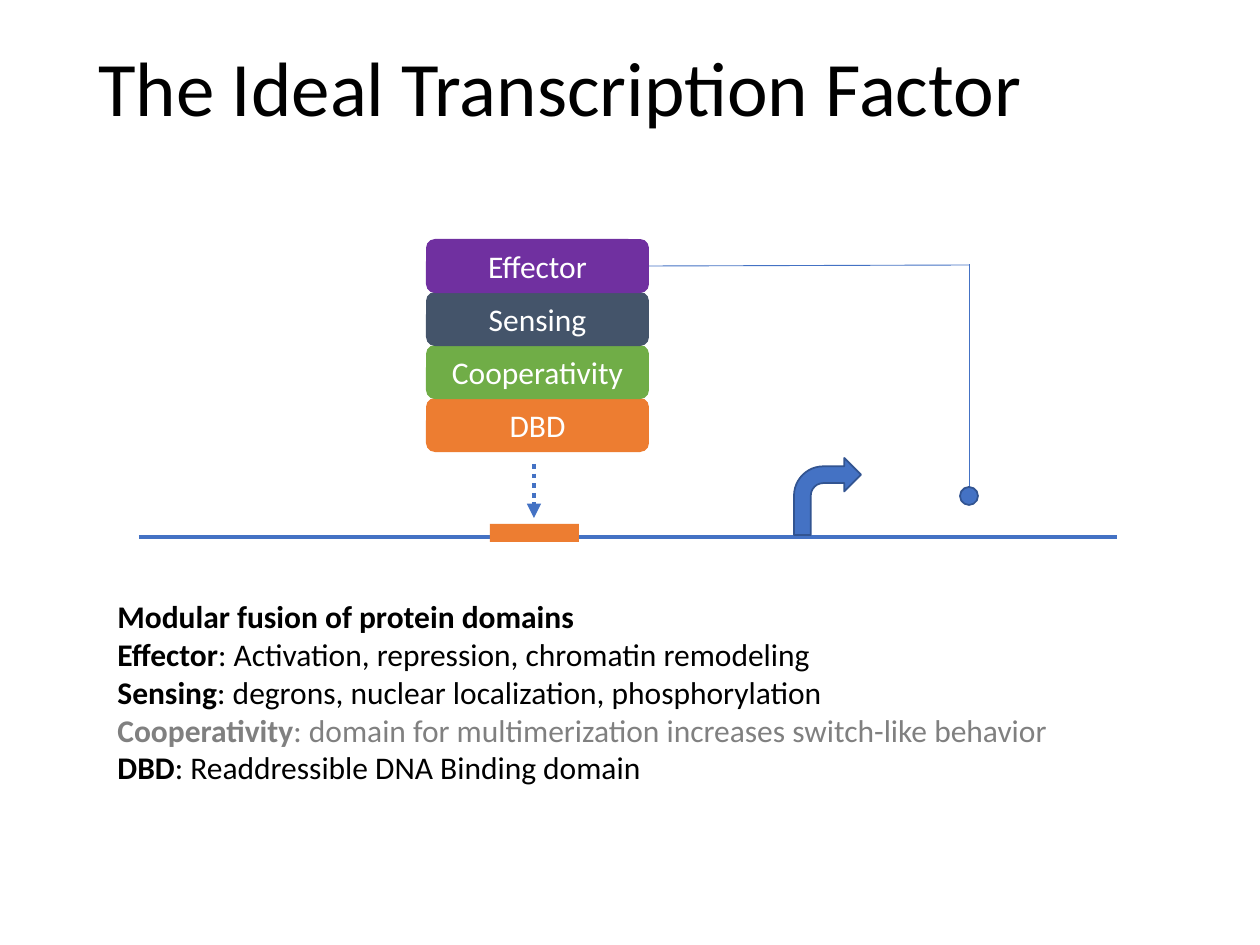
from lxml import etree
from pptx import Presentation
from pptx import util as u
from pptx.dml.color import RGBColor
from pptx.enum import dml, shapes, text
from pptx.oxml import ns

SCALE = 914400 / 126
FONT = "Calibri"
BLUE, DARK_BLUE, ORANGE = "4472C4", "325491", "ED7D31"
BLACK, GREY, WHITE = "000000", "808080", "FFFFFF"

DOMAINS = [
    ("Effector", "7030A0"),
    ("Sensing", "44546A"),
    ("Cooperativity", "70AD47"),
    ("DBD", ORANGE),
]
NOTES = [
    ("Modular fusion of protein domains", "", BLACK),
    ("Effector", ": Activation, repression, chromatin remodeling", BLACK),
    ("Sensing", ": degrons, nuclear localization, phosphorylation", BLACK),
    ("Cooperativity", ": domain for multimerization increases switch-like behavior", GREY),
    ("DBD", ": Readdressible DNA Binding domain", BLACK),
]


def px(*lengths):
    return [u.Emu(round(length * SCALE)) for length in lengths]


def color(hex_value):
    return RGBColor.from_string(hex_value)


def style_font(paragraph, size, hex_value):
    paragraph.font.name = FONT
    paragraph.font.size = u.Pt(size)
    paragraph.font.color.rgb = color(hex_value)


def add_block(slide, kind, box, fill, outline=None):
    block = slide.shapes.add_shape(kind, *px(*box))
    block.shadow.inherit = False
    block.fill.solid()
    block.fill.fore_color.rgb = color(fill)
    if outline:
        block.line.color.rgb = color(outline)
        block.line.width = u.Pt(1)
    else:
        block.line.fill.background()
    return block


def add_domain(slide, box, label, fill):
    domain = add_block(slide, shapes.MSO_SHAPE.ROUNDED_RECTANGLE, box, fill)
    frame = domain.text_frame
    frame.vertical_anchor = text.MSO_ANCHOR.MIDDLE
    paragraph = frame.paragraphs[0]
    paragraph.text = label
    paragraph.alignment = text.PP_ALIGN.CENTER
    style_font(paragraph, 18, WHITE)


def add_line(slide, ends, width):
    line = slide.shapes.add_connector(shapes.MSO_CONNECTOR.STRAIGHT, *px(*ends))
    line.line.color.rgb = color(BLUE)
    line.line.width = u.Pt(width)
    etree.SubElement(line._element.spPr, ns.qn("a:effectLst"))
    return line


def add_binding_arrow(slide, ends):
    arrow = add_line(slide, ends, 2.75)
    arrow.line.dash_style = dml.MSO_LINE.ROUND_DOT
    etree.SubElement(arrow.line._get_or_add_ln(), ns.qn("a:tailEnd"), type="triangle")


def add_title(slide, box, wording):
    frame = slide.shapes.add_textbox(*px(*box)).text_frame
    frame.word_wrap = True
    frame.vertical_anchor = text.MSO_ANCHOR.MIDDLE
    paragraph = frame.paragraphs[0]
    paragraph.text = wording
    paragraph.line_spacing = 0.9
    style_font(paragraph, 44, BLACK)


def add_notes(slide, box, notes):
    frame = slide.shapes.add_textbox(*px(*box)).text_frame
    frame.word_wrap = False
    frame.auto_size = text.MSO_AUTO_SIZE.SHAPE_TO_FIT_TEXT
    for index, (term, meaning, hex_value) in enumerate(notes):
        paragraph = frame.add_paragraph() if index else frame.paragraphs[0]
        style_font(paragraph, 18, hex_value)
        term_run = paragraph.add_run()
        term_run.text = term
        term_run.font.bold = True
        if meaning:
            paragraph.add_run().text = meaning


def main():
    deck = Presentation()
    deck.slide_width, deck.slide_height = px(1260, 945)
    slide = deck.slides.add_slide(deck.slide_layouts[6])

    add_title(slide, (86, 0, 1086, 183), "The Ideal Transcription Factor")
    add_line(slide, (139, 537, 1117, 537), 1.75)
    add_block(slide, shapes.MSO_SHAPE.BENT_ARROW, (794, 458, 67, 77), BLUE, DARK_BLUE)

    for row, (label, fill) in reversed(list(enumerate(DOMAINS))):
        add_domain(slide, (426, 239 + 53 * row, 223, 54), label, fill)

    add_line(slide, (649, 266, 969, 265), 0.5)
    add_line(slide, (969, 487, 969, 264), 0.5)
    add_block(slide, shapes.MSO_SHAPE.OVAL, (960, 487, 18, 18), BLUE, DARK_BLUE)

    add_notes(slide, (105, 591, 965, 204), NOTES)
    add_block(slide, shapes.MSO_SHAPE.RECTANGLE, (490, 524, 89, 18), ORANGE)
    add_binding_arrow(slide, (534, 464, 534, 518))
    deck.save("out.pptx")


if __name__ == "__main__":
    main()
